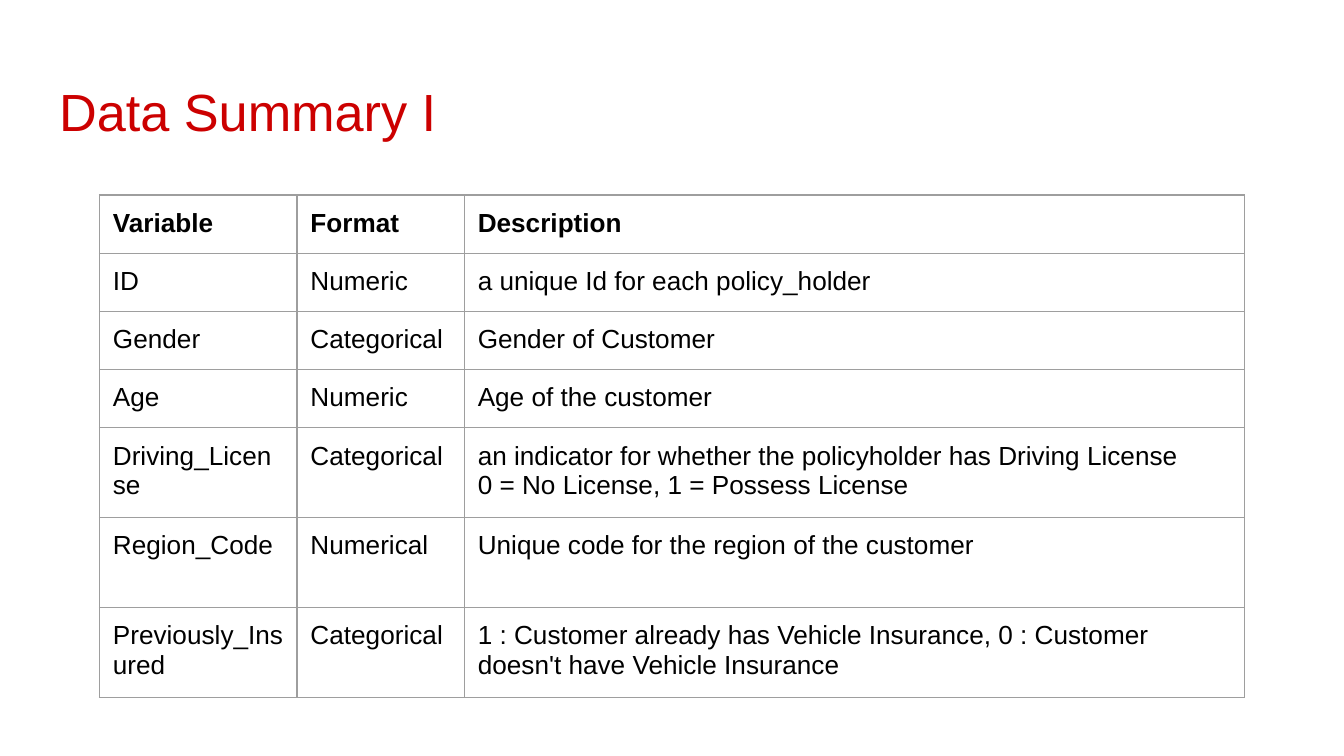
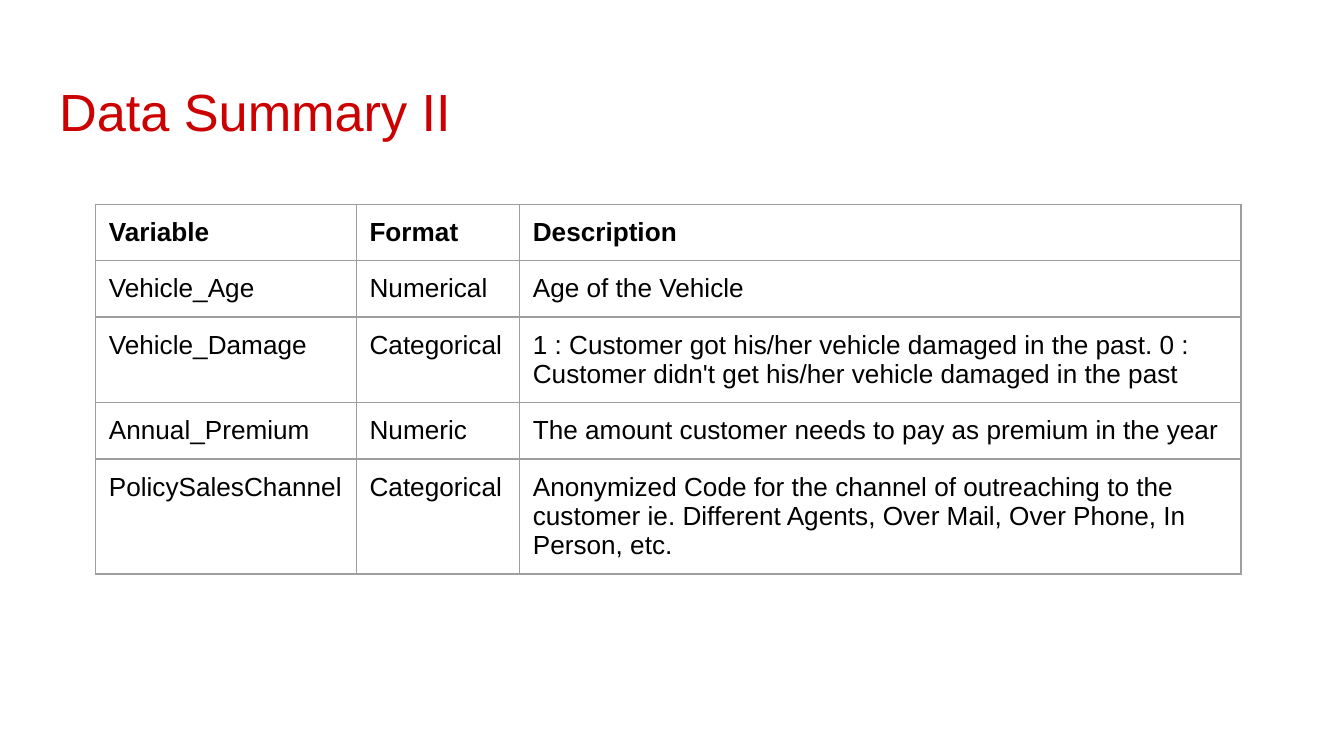
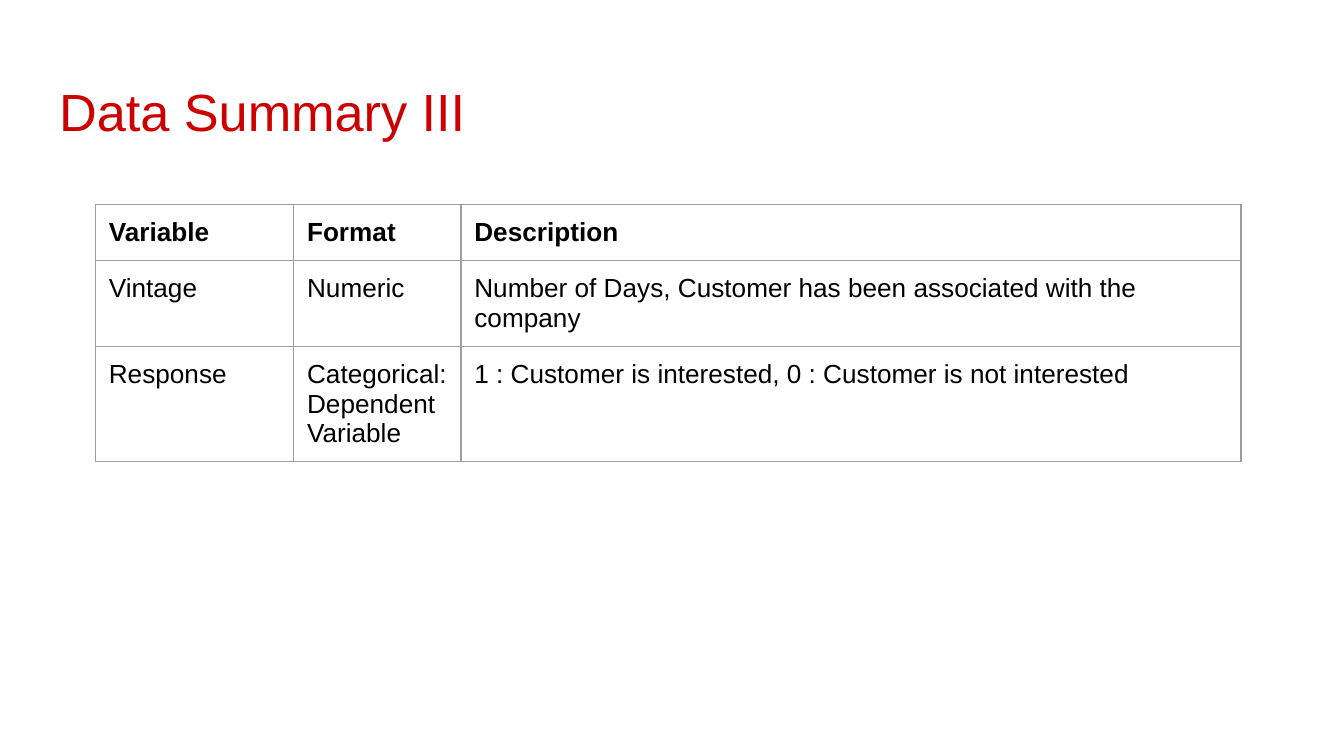
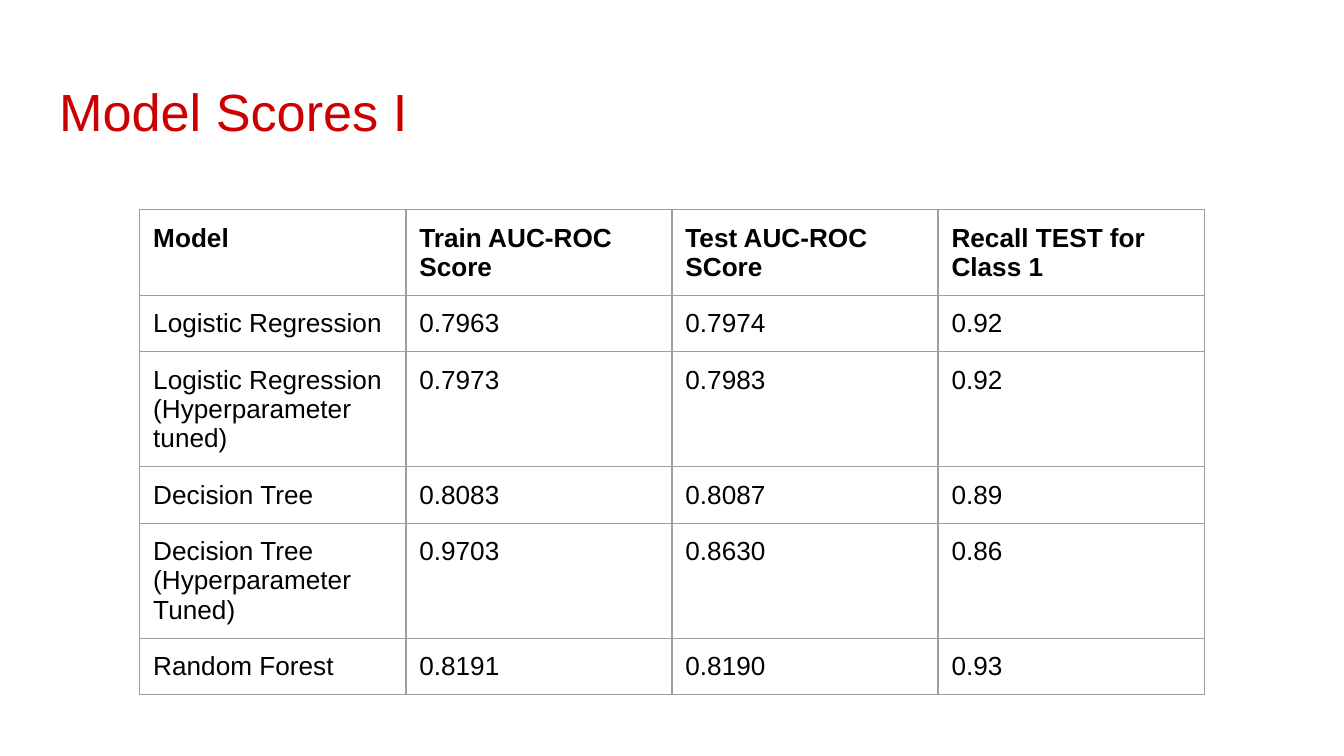
import pptx
import pptx.dml.color
import pptx.enum.text
import pptx.oxml
import pptx.oxml.ns
import pptx.util

COLOURS = {"title": "CC0000", "text": "000000", "border": "9E9E9E"}
FONT = "Arial"
INSET = pptx.util.Inches(0.1)
BORDER_WIDTH = pptx.util.Pt(0.75)
SLIDE_WIDTH = pptx.util.Inches(10)
SLIDE_HEIGHT = SLIDE_WIDTH * 9 // 16
TITLE_ONLY = 5

# Boxes are left, top, width, height in percent of the slide
TITLE_BOX = (3.4, 8.72, 93.2, 11.2)

VARIABLE_HEADER = ("Variable", "Format", "Description")

# Column widths and row heights are in percent of the slide as well
PAGES = [
    {
        "title": "Data Summary I",
        "corner": (7.4, 25.8),
        "columns": [14.7, 12.45, 58.05],
        "rows": [7.7] * 4 + [11.9] * 3,
        "cells": [
            VARIABLE_HEADER,
            ("ID", "Numeric", "a unique Id for each policy_holder"),
            ("Gender", "Categorical", "Gender of Customer"),
            ("Age", "Numeric", "Age of the customer"),
            ("Driving_License", "Categorical",
             "an indicator for whether the policyholder has Driving License\n"
             "0 = No License, 1 = Possess License"),
            ("Region_Code", "Numerical", "Unique code for the region of the customer"),
            ("Previously_Insured", "Categorical",
             "1 : Customer already has Vehicle Insurance, "
             "0 : Customer doesn't have Vehicle Insurance"),
        ],
    },
    {
        "title": "Data Summary II",
        "corner": (7.1, 27.05),
        "columns": [19.4, 12.15, 53.7],
        "rows": [7.3] * 4 + [11.2],
        "cells": [
            VARIABLE_HEADER,
            ("Vehicle_Age", "Numerical", "Age of the Vehicle"),
            ("Vehicle_Damage", "Categorical",
             "1 : Customer got his/her vehicle damaged in the past. "
             "0 : Customer didn't get his/her vehicle damaged in the past"),
            ("Annual_Premium", "Numeric",
             "The amount customer needs to pay as premium in the year"),
            ("PolicySalesChannel", "Categorical",
             "Anonymized Code for the channel of outreaching to the customer ie. "
             "Different Agents, Over Mail, Over Phone, In Person, etc."),
        ],
    },
    {
        "title": "Data Summary III",
        "corner": (7.1, 27.05),
        "columns": [14.75, 12.45, 58.05],
        "rows": [7.3] * 3,
        "cells": [
            VARIABLE_HEADER,
            ("Vintage", "Numeric",
             "Number of Days, Customer has been associated with the company"),
            ("Response", "Categorical: Dependent Variable",
             "1 : Customer is interested, 0 : Customer is not interested"),
        ],
    },
    {
        "title": "Model Scores I",
        "corner": (10.4, 27.76),
        "columns": [19.8] * 4,
        "rows": [7.45] * 6,
        "cells": [
            ("Model", "Train AUC-ROC Score", "Test AUC-ROC SCore",
             "Recall TEST for Class 1"),
            ("Logistic Regression", "0.7963", "0.7974", "0.92"),
            ("Logistic Regression (Hyperparameter tuned)", "0.7973", "0.7983", "0.92"),
            ("Decision Tree", "0.8083", "0.8087", "0.89"),
            ("Decision Tree (Hyperparameter Tuned)", "0.9703", "0.8630", "0.86"),
            ("Random Forest", "0.8191", "0.8190", "0.93"),
        ],
    },
]


def across(percent):
    return round(SLIDE_WIDTH * percent / 100)


def down(percent):
    return round(SLIDE_HEIGHT * percent / 100)


def set_insets(target):
    target.margin_left = target.margin_right = INSET
    target.margin_top = target.margin_bottom = INSET


def add_span(para, text, size, colour, bold=False):
    span = para.add_run()
    span.text = text
    span.font.name = FONT
    span.font.size = pptx.util.Pt(size)
    span.font.bold = bold
    span.font.color.rgb = pptx.dml.color.RGBColor.from_string(COLOURS[colour])


def place_title(page, text, box):
    left, top, width, height = box
    title = page.shapes.title
    title.left, title.top = across(left), down(top)
    title.width, title.height = across(width), down(height)
    frame = title.text_frame
    set_insets(frame)
    frame.word_wrap = True
    frame.auto_size = pptx.enum.text.MSO_AUTO_SIZE.NONE
    frame.vertical_anchor = pptx.enum.text.MSO_ANCHOR.TOP
    para = frame.paragraphs[0]
    para.alignment = pptx.enum.text.PP_ALIGN.LEFT
    add_span(para, text, 28, "title")


def add_borders(cell):
    # Borders come before the fill in the cell properties
    properties = cell._tc.get_or_add_tcPr()
    for position, side in enumerate(("lnL", "lnR", "lnT", "lnB")):
        line = pptx.oxml.parse_xml(
            f'<a:{side} {pptx.oxml.ns.nsdecls("a")} w="{BORDER_WIDTH}"><a:solidFill>'
            f'<a:srgbClr val="{COLOURS["border"]}"/></a:solidFill></a:{side}>')
        properties.insert(position, line)


def fill_cell(cell, text, bold):
    set_insets(cell)
    cell.fill.background()
    add_borders(cell)
    frame = cell.text_frame
    for number, line in enumerate(text.split("\n")):
        para = frame.add_paragraph() if number else frame.paragraphs[0]
        add_span(para, line, 14, "text", bold)


def place_table(page, corner, columns, rows, cells):
    left, top = corner
    table = page.shapes.add_table(
        len(rows), len(columns), across(left), down(top),
        across(sum(columns)), down(sum(rows))).table
    table.first_row = table.horz_banding = False
    for column, width in zip(table.columns, columns):
        column.width = across(width)
    for row, height in zip(table.rows, rows):
        row.height = down(height)
    for row_number, texts in enumerate(cells):
        for column_number, text in enumerate(texts):
            fill_cell(table.cell(row_number, column_number), text, row_number == 0)


def add_table_page(deck, content):
    page = deck.slides.add_slide(deck.slide_layouts[TITLE_ONLY])
    place_title(page, content["title"], TITLE_BOX)
    place_table(page, content["corner"], content["columns"],
                content["rows"], content["cells"])


def main():
    deck = pptx.Presentation()
    deck.slide_width, deck.slide_height = SLIDE_WIDTH, SLIDE_HEIGHT
    for content in PAGES:
        add_table_page(deck, content)
    deck.save("out.pptx")


if __name__ == "__main__":
    main()
